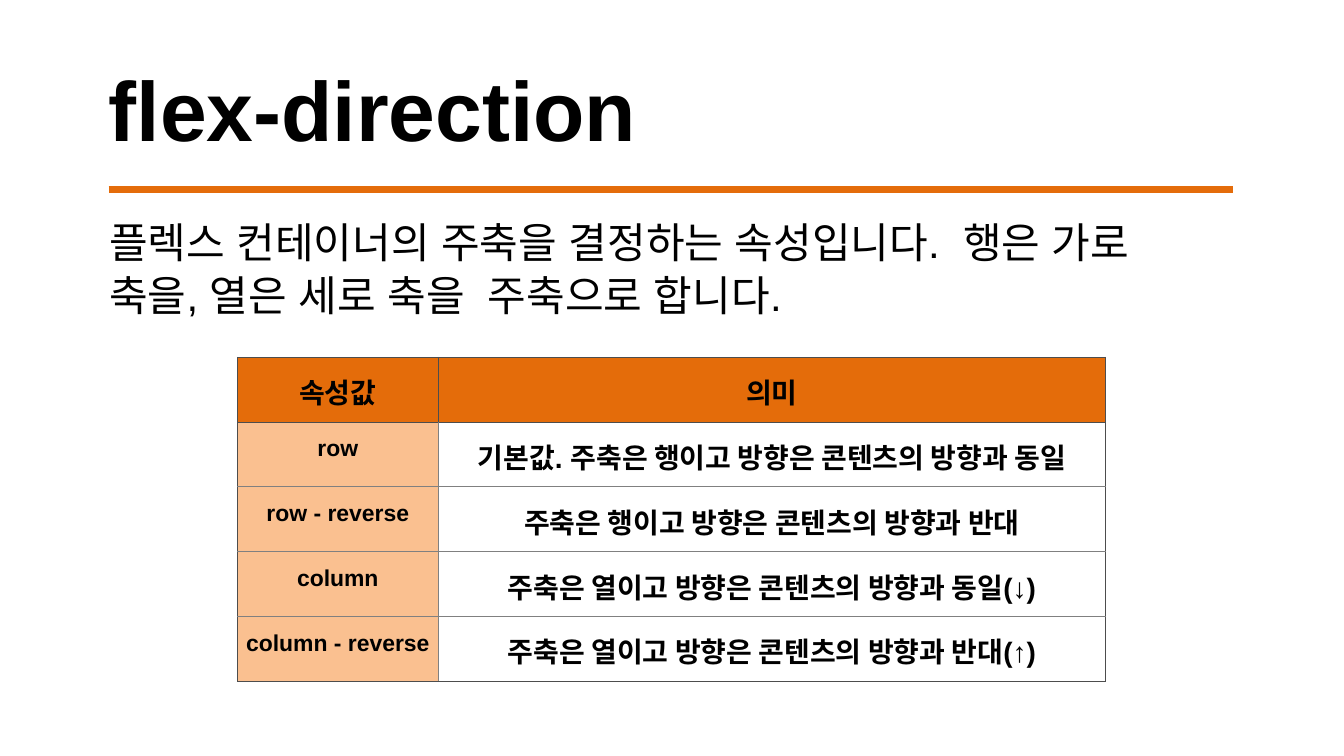
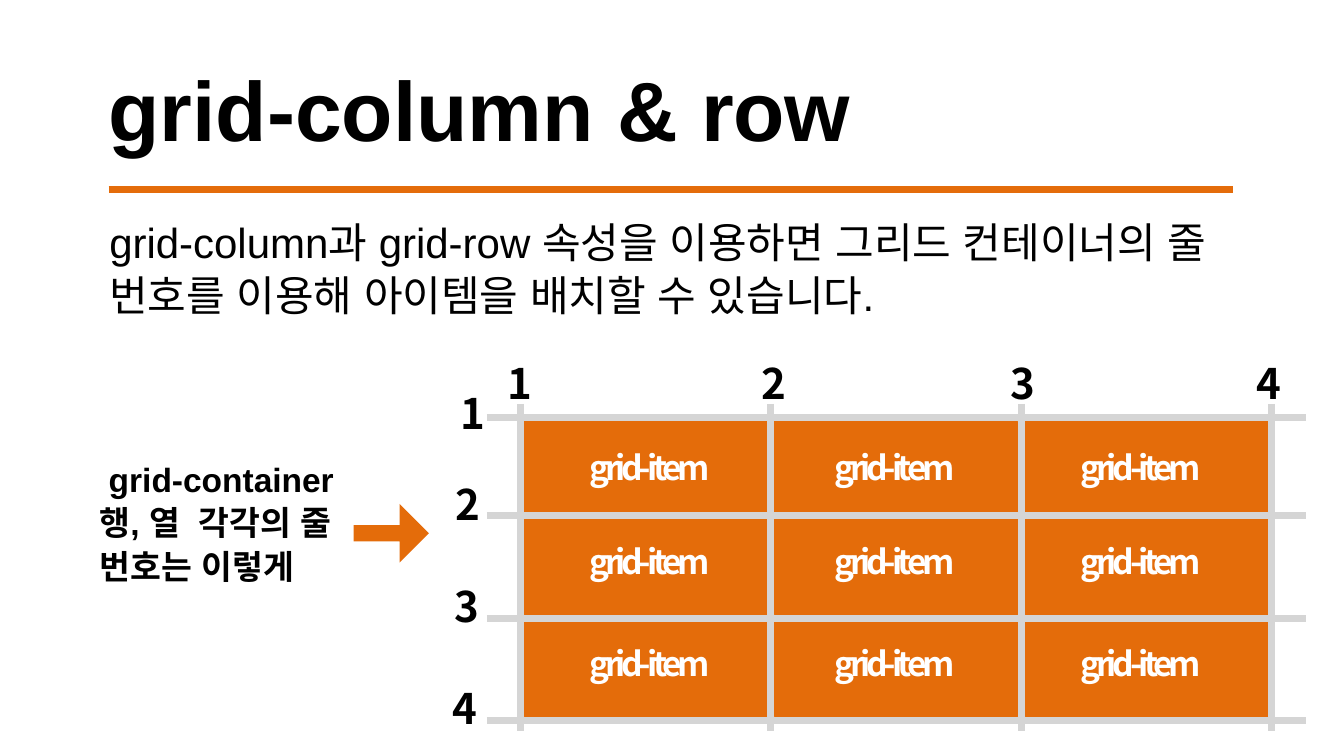
import dataclasses

import pptx
import pptx.dml.color
import pptx.enum.shapes
import pptx.enum.text
import pptx.oxml.ns
import pptx.util
from lxml import etree

SHAPE = pptx.enum.shapes.MSO_SHAPE
ALIGN = pptx.enum.text.PP_ALIGN


@dataclasses.dataclass(frozen=True)
class Theme:
    ink: str = "000000"
    white: str = "FFFFFF"
    accent: str = "E46C0A"
    tint: str = "FAC090"
    track: str = "D5D5D5"
    edge: str = "4D4D4D"
    rule: str = "808080"
    sans: str = "Arial"
    cjk: str = "Noto Sans CJK KR"
    title: float = 99
    body: float = 49.5
    note: float = 39.5
    cell: float = 33
    key: float = 27
    stroke: float = 8.25


THEME = Theme()
WIDTH = pptx.util.Inches(21.99)
HEIGHT = pptx.util.Inches(12.37)
COLS = 22
LEFT = 1.78
SPAN = 18.05


def unit(count):
    return round(count * WIDTH / COLS)


def color(code):
    return pptx.dml.color.RGBColor.from_string(code)


def child(node, tag, **attrs):
    return etree.SubElement(node, pptx.oxml.ns.qn(tag), attrs)


def write(frame, words, size=THEME.body, font=THEME.sans, east=None, ink=THEME.ink,
          bold=True, align=ALIGN.LEFT, line=None, left=0, first=0, track=0):
    part = frame.paragraphs[0]
    part.alignment = align
    if line:
        part.line_spacing = pptx.util.Pt(line)
    props = part._p.get_or_add_pPr()
    props.set("marL", str(unit(left)))
    props.set("indent", str(unit(first)))
    run = part.add_run()
    run.text = words
    run.font.size = pptx.util.Pt(size)
    run.font.name = font
    run.font.bold = bold
    run.font.color.rgb = color(ink)
    look = run._r.get_or_add_rPr()
    child(look, "a:ea", typeface=east or font)
    if track:
        look.set("spc", str(round(track * 100)))


def pad(host, top=0.01, right=0):
    host.margin_left = host.margin_bottom = 0
    host.margin_top = unit(top)
    host.margin_right = unit(right)


def label(slide, words, x, y, w, h, right=0, **form):
    frame = slide.shapes.add_textbox(*map(unit, (x, y, w, h))).text_frame
    frame.word_wrap = True
    pad(frame, right=right)
    write(frame, words, **form)


def block(slide, kind, x, y, w, h):
    shape = slide.shapes.add_shape(kind, *map(unit, (x, y, w, h)))
    shape.shadow.inherit = False
    shape.fill.solid()
    shape.fill.fore_color.rgb = color(THEME.accent)
    shape.line.fill.background()
    return shape


def stroke(slide, x1, y1, x2, y2, ink):
    line = slide.shapes.add_connector(
        pptx.enum.shapes.MSO_CONNECTOR.STRAIGHT, *map(unit, (x1, y1, x2, y2)))
    line.line.color.rgb = color(ink)
    line.line.width = pptx.util.Pt(THEME.stroke)
    child(line._element.spPr, "a:effectLst")


def border(cell, sides):
    props = cell._tc.get_or_add_tcPr()
    for spot, (tag, ink) in enumerate(sides.items()):
        line = etree.Element(pptx.oxml.ns.qn(tag), w="12700")
        child(child(line, "a:solidFill"), "a:srgbClr", val=ink)
        props.insert(spot, line)


def table(slide, rows, x, y, widths, tall):
    count = len(rows)
    grid = slide.shapes.add_table(
        count, len(widths), *map(unit, (x, y, sum(widths), count * tall))).table
    for col, width in zip(grid.columns, widths):
        col.width = unit(width)
    last = len(widths) - 1
    for i, words in enumerate(rows):
        grid.rows[i].height = unit(tall)
        for j, word in enumerate(words):
            cell = grid.cell(i, j)
            head = i == 0
            pad(cell, top=0.23)
            write(cell.text_frame, word, east=THEME.cjk, align=ALIGN.CENTER,
                  size=THEME.cell if head or j else THEME.key)
            if j and not head:
                cell.fill.background()
            else:
                cell.fill.solid()
                cell.fill.fore_color.rgb = color(THEME.accent if head else THEME.tint)
            outer = {"a:lnL": head or j == 0, "a:lnR": head or j == last,
                     "a:lnT": i <= 1, "a:lnB": head or i == count - 1}
            border(cell, {tag: THEME.edge if out else THEME.rule
                          for tag, out in outer.items()})


def page(deck, title, width, lead, span):
    slide = deck.slides.add_slide(deck.slide_layouts[6])
    label(slide, title, LEFT, 0.93, width, 1.68, size=THEME.title)
    stroke(slide, LEFT, 3.1, LEFT + 18.41, 3.1, THEME.accent)
    label(slide, lead, LEFT, 3.49, span, 1.78, right=span - SPAN,
          bold=False, line=62.4, left=0.01)
    return slide


def tiles(slide, xs, ys):
    gap = 0.06
    for x, end, left in zip(xs, xs[1:], (1.07, 0.98, 0.91)):
        for y, base, top in zip(ys, ys[1:], (0.42, 0.35, 0.34)):
            tile = block(slide, SHAPE.RECTANGLE, x + gap, y + gap,
                         end - x - 2 * gap, base - y - 2 * gap)
            tile.line.color.rgb = color(THEME.accent)
            tile.line.width = pptx.util.Pt(0.75)
            frame = tile.text_frame
            frame.vertical_anchor = pptx.enum.text.MSO_ANCHOR.TOP
            pad(frame, top=top)
            write(frame, "grid-item", size=THEME.note, font=THEME.cjk,
                  ink=THEME.white, left=left, track=-5)


def tracks(slide, xs, ys):
    for y in ys:
        stroke(slide, 7.97, y, 21.37, y, THEME.track)
    for x in xs:
        stroke(slide, x, 6.61, x, 11.96, THEME.track)


def digits(slide):
    wide = (0.27, 0.35, 0.36, 0.4)
    lefts = (8.31, 12.46, 16.54, 20.57)
    tops = (6.33, 7.82, 9.49, 11.17)
    for num, (w, x, y) in enumerate(zip(wide, lefts, tops), 1):
        for left, top in ((x, 5.84), (7.8 - w, y)):
            label(slide, str(num), left, top, w, 0.85, font=THEME.cjk)


def flex(deck):
    slide = page(
        deck, "flex-direction", 9.63,
        "플렉스 컨테이너의 주축을 결정하는 속성입니다.  행은 가로 축을, 열은 세로 축을  주축으로 합니다.",
        SPAN)
    rows = (
        ("속성값", "의미"),
        ("row", "기본값. 주축은 행이고 방향은 콘텐츠의 방향과 동일"),
        ("row - reverse", "주축은 행이고 방향은 콘텐츠의 방향과 반대"),
        ("column", "주축은 열이고 방향은 콘텐츠의 방향과 동일(↓)"),
        ("column - reverse", "주축은 열이고 방향은 콘텐츠의 방향과 반대(↑)"),
    )
    table(slide, rows, 3.89, 5.85, (3.28, 10.93), 1.06)


def grid(deck):
    slide = page(
        deck, "grid-column & row", 12.88,
        "grid-column과 grid-row 속성을 이용하면 그리드 컨테이너의 줄 번호를 이용해 아이템을 배치할 수 있습니다.",
        19.46)
    xs = [8.52 + 4.1 * i for i in range(4)]
    ys = (6.84, 8.44, 10.12, 11.79)
    tiles(slide, xs, ys)
    tracks(slide, xs, ys)
    digits(slide)
    label(slide, "grid-container 행, 열  각각의 줄 번호는 이렇게", 1.62, 7.45, 3.97, 2.89,
          size=THEME.note, line=51.2, left=0.01, first=0.15)
    arrow = block(slide, SHAPE.RIGHT_ARROW, 5.79, 8.25, 1.23, 0.96)
    arrow.adjustments[0] = 0.28
    arrow.adjustments[1] = 0.5


def main():
    deck = pptx.Presentation()
    deck.slide_width = WIDTH
    deck.slide_height = HEIGHT
    flex(deck)
    grid(deck)
    deck.save("out.pptx")


if __name__ == "__main__":
    main()
